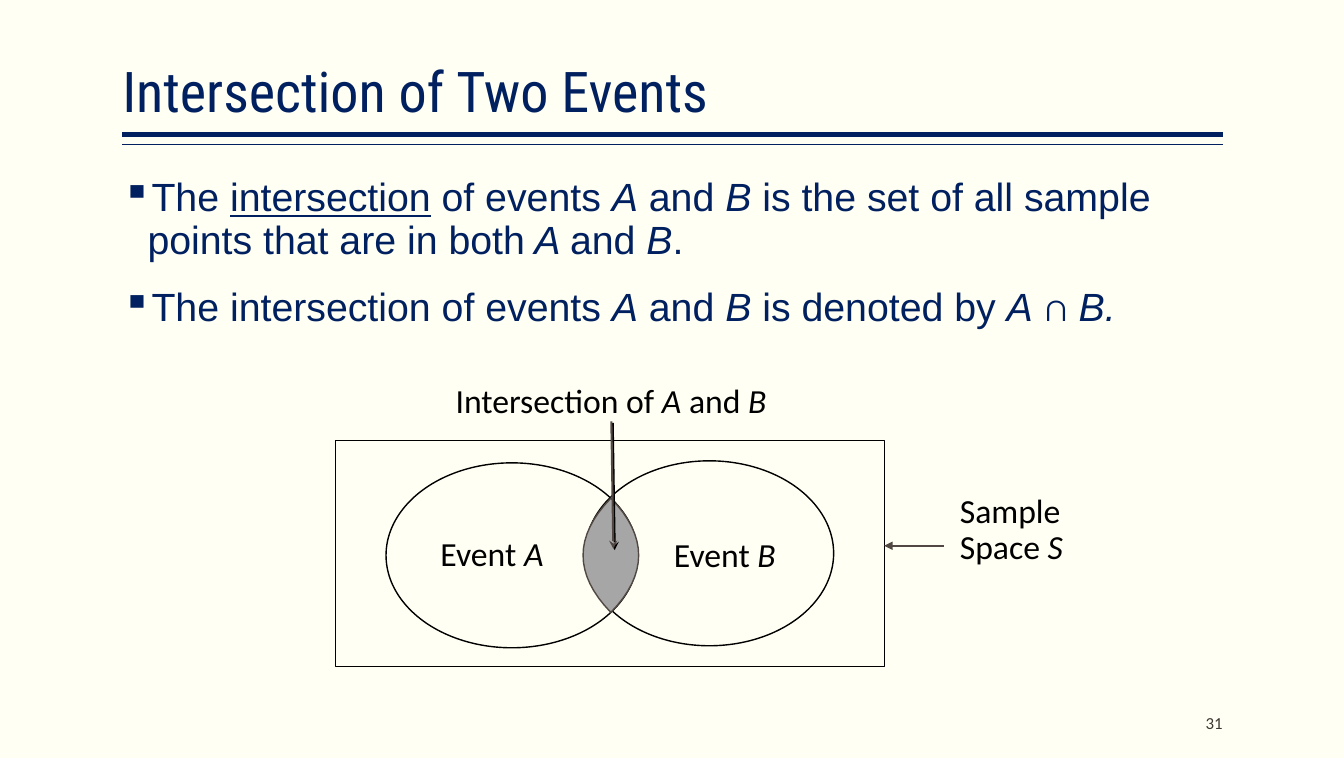
from lxml import etree
from pptx import Presentation, util as u
from pptx.dml.color import RGBColor
from pptx.enum import shapes, text
from pptx.oxml import parse_xml
from pptx.oxml.ns import nsdecls, qn

COLS, ROWS = 133, 75
COLORS = {"paper": "FFFFF3", "navy": "002060", "black": "000000",
          "brown": "514843", "number": "3D3632", "overlap": "A6A6A6"}


class VennSlide:
    """Holds the style and the slide; every length is in grid columns and rows."""

    def __init__(self, prs):
        self.col, self.row = prs.slide_width / COLS, prs.slide_height / ROWS
        self.s = prs.slides.add_slide(prs.slide_layouts[5])
        fill = self.s.background.fill
        fill.solid()
        fill.fore_color.rgb = self.color("paper")

    def color(self, name):
        return RGBColor.from_string(COLORS[name])

    def box(self, x, y, w, h):
        return (round(x * self.col), round(y * self.row),
                round(w * self.col), round(h * self.row))

    def frame(self, sp, inset=0.1, anchor=text.MSO_ANCHOR.TOP, grow=False):
        tf = sp.text_frame
        tf.word_wrap = not grow
        tf.auto_size = text.MSO_AUTO_SIZE.SHAPE_TO_FIT_TEXT if grow else text.MSO_AUTO_SIZE.NONE
        tf.vertical_anchor = anchor
        tf.margin_left = tf.margin_right = u.Inches(inset)
        tf.margin_top = tf.margin_bottom = u.Inches(0.05)
        return tf

    def add_runs(self, p, marked, size, font, color, spacing=1.0, align=text.PP_ALIGN.LEFT):
        """Chunks are split by |; a leading * is italic, _ underlined, ^ a symbol."""
        p.alignment, p.line_spacing = align, spacing
        for chunk in marked.split("|"):
            mark = chunk[0]
            r = p.add_run()
            r.text = chunk.lstrip("*_^")
            r.font.size = u.Pt(size)
            r.font.name = "Calibri" if mark == "^" else font
            r.font.color.rgb = self.color(color)
            r.font.italic = mark == "*"
            r.font.underline = mark == "_"

    def title(self, words, at):
        sp = self.s.shapes.title
        sp.left, sp.top, sp.width, sp.height = self.box(*at)
        tf = self.frame(sp, 0, text.MSO_ANCHOR.BOTTOM)
        self.add_runs(tf.paragraphs[0], words, 40, "Roboto Condensed", "navy", 0.9)

    def bullets(self, items, at):
        tf = self.frame(self.s.shapes.add_textbox(*self.box(*at)), 0)
        for i, item in enumerate(items):
            p = tf.add_paragraph() if i else tf.paragraphs[0]
            pPr = p._p.get_or_add_pPr()
            pPr.set("marL", str(u.Inches(0.25)))
            pPr.set("indent", str(-u.Inches(0.25)))
            etree.SubElement(pPr, qn("a:buChar")).set("char", "▪")
            p.space_before = u.Pt(17.9 if i else 0)
            self.add_runs(p, item, 28, "Arial", "navy", 0.9)

    def label(self, lines, at, spacing=1.0):
        tf = self.frame(self.s.shapes.add_textbox(*self.box(*at)), grow=True)
        for i, line in enumerate(lines):
            p = tf.add_paragraph() if i else tf.paragraphs[0]
            self.add_runs(p, line, 24, "Calibri", "black", spacing)

    def page_number(self, number, at):
        sp = self.s.shapes.add_textbox(*self.box(*at))
        tf = self.frame(sp, 0, text.MSO_ANCHOR.MIDDLE)
        self.add_runs(tf.paragraphs[0], number, 12, "Calibri", "number",
                      align=text.PP_ALIGN.RIGHT)

    def outline(self, sp, color, width, fill=None):
        sp.shadow.inherit = False
        sp.line.color.rgb, sp.line.width = self.color(color), u.Pt(width)
        if fill:
            sp.fill.solid()
            sp.fill.fore_color.rgb = self.color(fill)
        else:
            sp.fill.background()

    def shape(self, kind, at, width):
        self.outline(self.s.shapes.add_shape(kind, *self.box(*at)), "black", width)

    def lens(self, cx, cy, half_w, half_h, steps=16):
        """Two bowed sides that meet in a point above and below the centre."""
        rise = [2 * i / steps - 1 for i in range(steps + 1)]
        points = [((cx + side * half_w * (1 - t * t)) * self.col,
                   (cy + side * half_h * t) * self.row)
                  for side in (1, -1) for t in rise]
        fb = self.s.shapes.build_freeform(*points[0])
        fb.add_line_segments(points[1:], close=True)
        self.outline(fb.convert_to_shape(), "brown", 1, "overlap")

    def line(self, start, end, color, width, arrow=None, shadow=False):
        x1, y1, x2, y2 = self.box(*start, *end)
        c = self.s.shapes.add_connector(shapes.MSO_CONNECTOR.STRAIGHT, x1, y1, x2, y2)
        c.line.color.rgb, c.line.width = self.color(color), u.Pt(width)
        if arrow:
            etree.SubElement(c.line._ln, qn("a:tailEnd")).set("type", arrow)
        drop = (f'<a:outerShdw dist="{u.Pt(1.4)}" dir="2700000" algn="ctr" rotWithShape="0">'
                f'<a:srgbClr val="{COLORS["black"]}"/></a:outerShdw>') if shadow else ""
        c._element.spPr.append(
            parse_xml(f'<a:effectLst {nsdecls("a")}>{drop}</a:effectLst>'))


def main():
    prs = Presentation()
    prs.slide_width, prs.slide_height = u.Inches(13.3), u.Inches(7.5)
    s = VennSlide(prs)

    # Title and double rule
    s.title("Intersection of Two Events", (12.1, 0.8, 108.9, 12))
    for y, width in ((13.3, 3), (14.3, 1)):
        s.line((12.1, y), (121, y), "navy", width)

    # Definition
    s.bullets(["The |_intersection| of events |*A| and |*B| is the set of all sample "
               "points that are in both|* A |and |*B|.",
               "The intersection of events |*A| and |*B| is denoted by |*A |^∩ |*B."],
              (12.1, 17.1, 108.9, 50))

    # Sample space
    s.shape(shapes.MSO_SHAPE.RECTANGLE, (33.2, 43.6, 54.3, 22.3), 0.5)
    s.label(["Sample", "Space |*S"], (94, 48.4, 12.3, 8.3), 0.9)
    s.line((93.4, 54), (87.5, 54), "brown", 1.5, "triangle")

    # Events and their overlap
    s.shape(shapes.MSO_SHAPE.OVAL, (38.2, 45.8, 24.9, 18.3), 1)
    s.shape(shapes.MSO_SHAPE.OVAL, (57.9, 45.6, 24.6, 18.3), 1)
    s.lens(60.45, 54.95, 2.75, 5.65)
    s.label(["Event |*A"], (42.6, 52.2, 12.2, 5))
    s.label(["Event |*B"], (65.7, 52.3, 12.2, 5))
    s.label(["Intersection of |*A| and |*B"], (44.1, 37.1, 33.1, 5))
    s.line((60.5, 41.7), (60.7, 54.3), "brown", 1.5, "stealth", shadow=True)

    # Page number
    s.page_number("31", (101, 69.5, 20, 4))
    prs.save("out.pptx")


if __name__ == "__main__":
    main()
